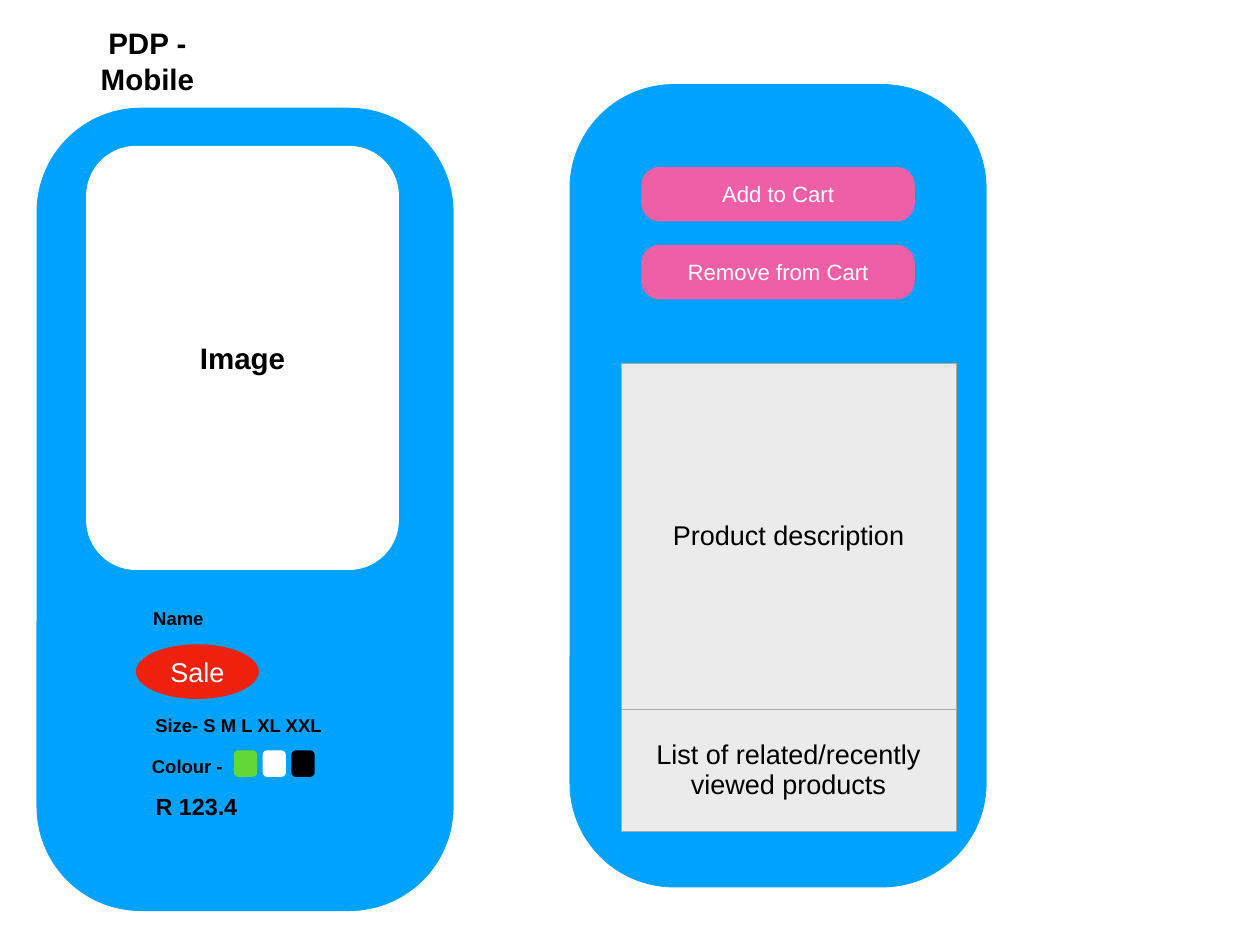
from dataclasses import dataclass

from lxml.etree import SubElement
from pptx import Presentation
from pptx.dml.color import RGBColor
from pptx.enum.shapes import MSO_SHAPE as Shape
from pptx.enum.text import MSO_ANCHOR as Anchor, MSO_AUTO_SIZE as AutoSize, PP_ALIGN as Align
from pptx.oxml.ns import qn
from pptx.util import Inches, Pt


@dataclass(frozen=True)
class Theme:
    font: str = "Arial"
    phone: str = "00A2FF"
    paper: str = "FFFFFF"
    ink: str = "000000"
    sale: str = "EE220C"
    button: str = "EF5FA7"
    green: str = "61D836"
    panel: str = "EBEBEB"
    border: str = "A6AAA9"
    border_width: float = 0.45
    heading: int = 24
    body: int = 22
    price: int = 19
    action: int = 18
    label: int = 15
    inset: float = 0.06


T = Theme()


@dataclass(frozen=True)
class Box:
    x: float
    y: float
    w: float
    h: float

    def at(self, col, row, cols, rows):
        """Return a part of this box, measured on its grid of 100 columns by 100 rows."""
        return Box(self.x + self.w * col / 100, self.y + self.h * row / 100,
                   self.w * cols / 100, self.h * rows / 100)

    def emu(self):
        return [Inches(v) for v in (self.x, self.y, self.w, self.h)]


SLIDE = Box(0, 0, 14.22, 10.66)


def rgb(colour):
    return RGBColor.from_string(colour)


def write(tf, text, size=T.body, colour=T.ink, bold=False, wrap=True):
    tf.auto_size = AutoSize.NONE
    tf.word_wrap = wrap
    tf.vertical_anchor = Anchor.MIDDLE
    tf.margin_left = tf.margin_right = tf.margin_top = tf.margin_bottom = Inches(T.inset)
    p = tf.paragraphs[0]
    p.alignment = Align.CENTER
    r = p.add_run()
    r.text = text
    r.font.name, r.font.size, r.font.bold = T.font, Pt(size), bold
    r.font.color.rgb = rgb(colour)


def add_label(slide, box, text, **fmt):
    tb = slide.shapes.add_textbox(*box.emu())
    write(tb.text_frame, text, bold=True, wrap=False, **fmt)


def add_block(slide, box, fill, kind=Shape.ROUNDED_RECTANGLE, corner=None, text=None, **fmt):
    sp = slide.shapes.add_shape(kind, *box.emu())
    sp.shadow.inherit = False
    sp.fill.solid()
    sp.fill.fore_color.rgb = rgb(fill)
    sp.line.fill.background()
    if corner is not None:
        sp.adjustments[0] = corner
    if text:
        write(sp.text_frame, text, **fmt)


def add_title(slide, box, text):
    title = slide.shapes.title
    title.left, title.top, title.width, title.height = box.emu()
    write(title.text_frame, text, size=T.heading, bold=True, wrap=False)


def add_phone(slide, box):
    add_block(slide, box, T.phone, corner=0.25)


def border_cell(cell):
    props = cell._tc.get_or_add_tcPr()
    for i, side in enumerate(("a:lnL", "a:lnR", "a:lnT", "a:lnB")):
        ln = props.makeelement(qn(side), {"w": str(Pt(T.border_width))})
        fill = SubElement(ln, qn("a:solidFill"))
        SubElement(fill, qn("a:srgbClr"), val=T.border)
        props.insert(i, ln)


def add_sections(slide, box, sections):
    """Stack full-width table cells; each section is a text and its share of the height."""
    table = slide.shapes.add_table(len(sections), 1, *box.emu()).table
    table.first_row = table.horz_banding = False
    for i, (text, share) in enumerate(sections):
        table.rows[i].height = Inches(box.h * share)
        cell = table.cell(i, 0)
        cell.fill.solid()
        cell.fill.fore_color.rgb = rgb(T.panel)
        border_cell(cell)
        write(cell.text_frame, text)
        cell.vertical_anchor = Anchor.MIDDLE
        cell.margin_left = cell.margin_right = Inches(T.inset)


def add_product_screen(slide, box):
    add_phone(slide, box)
    add_block(slide, box.at(11.9, 4.75, 75, 52.8), T.paper, corner=0.16,
              text="Image", size=T.heading, bold=True)
    add_label(slide, box.at(18.7, 61.6, 30.6, 4), "Name", size=T.label)
    add_block(slide, box.at(23.8, 66.8, 29.5, 6.8), T.sale, kind=Shape.OVAL,
              text="Sale", colour=T.paper)
    add_label(slide, box.at(27.2, 74.8, 42.5, 4), "Size- S M L XL XXL", size=T.label)
    add_label(slide, box.at(26.5, 80, 19.3, 4), "Colour -", size=T.label)
    for i, colour in enumerate((T.green, T.paper, T.ink)):
        add_block(slide, box.at(47.3 + 6.9 * i, 80, 5.6, 3.3), colour, corner=0.19)
    add_label(slide, box.at(27.4, 84.6, 21.9, 4.7), "R 123.4", size=T.price)


def add_cart_screen(slide, box):
    add_phone(slide, box)
    add_sections(slide, box.at(12.3, 34.7, 80.4, 58.3),
                 [("Product description", 0.74),
                  ("List of related/recently viewed products", 0.26)])
    for i, text in enumerate(("Add to Cart", "Remove from Cart")):
        add_block(slide, box.at(17.2, 10.3 + 9.7 * i, 65.6, 6.8), T.button, corner=0.34,
                  text=text, size=T.action, colour=T.paper)


def main():
    prs = Presentation()
    prs.slide_width, prs.slide_height = Inches(SLIDE.w), Inches(SLIDE.h)
    slide = prs.slides.add_slide(prs.slide_layouts[5])
    add_title(slide, SLIDE.at(4.15, 4, 15.1, 4.8), "PDP - Mobile")
    add_product_screen(slide, SLIDE.at(2.9, 11.4, 33.1, 85))
    add_cart_screen(slide, SLIDE.at(45.2, 8.9, 33.1, 85))
    prs.save("out.pptx")


if __name__ == "__main__":
    main()
